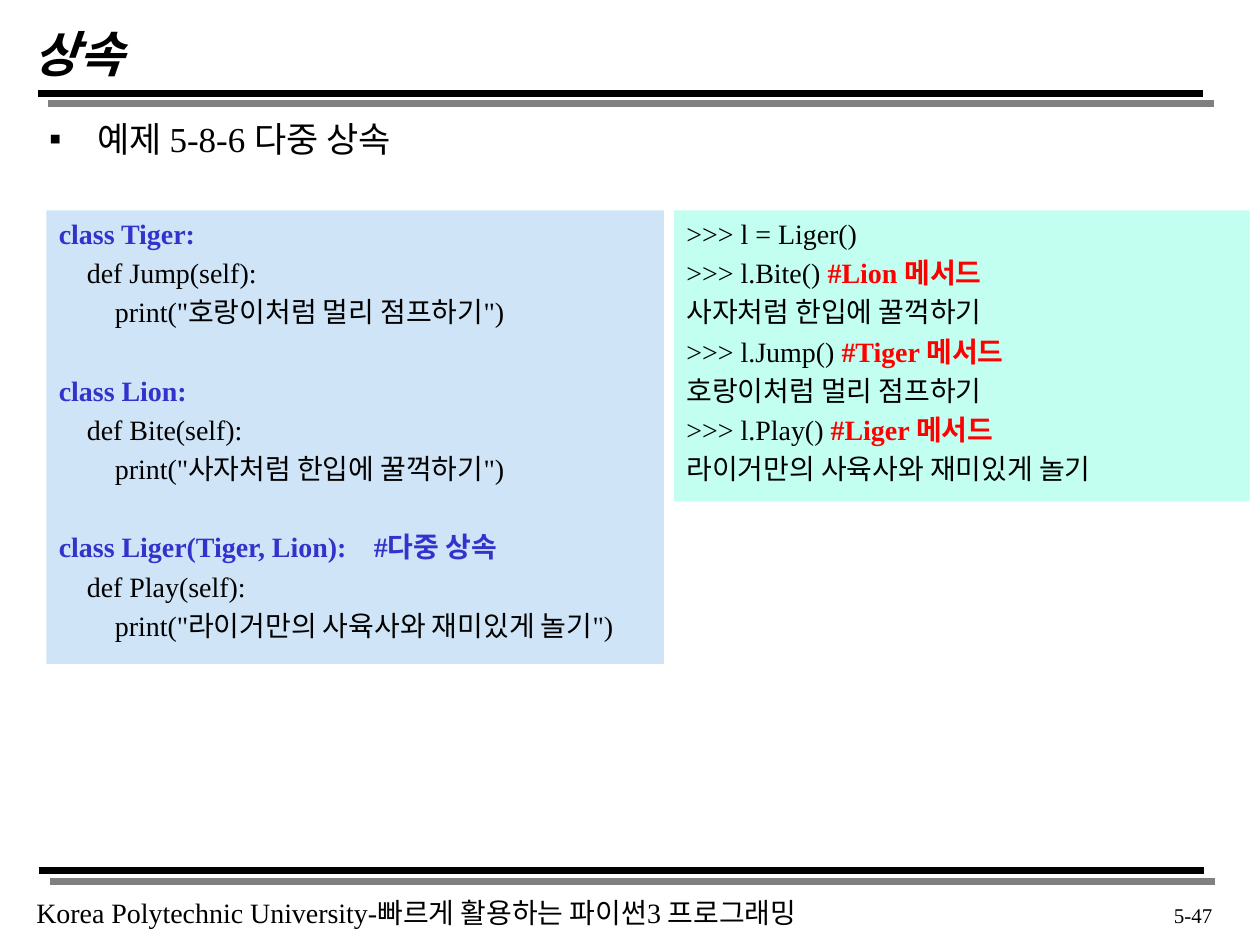
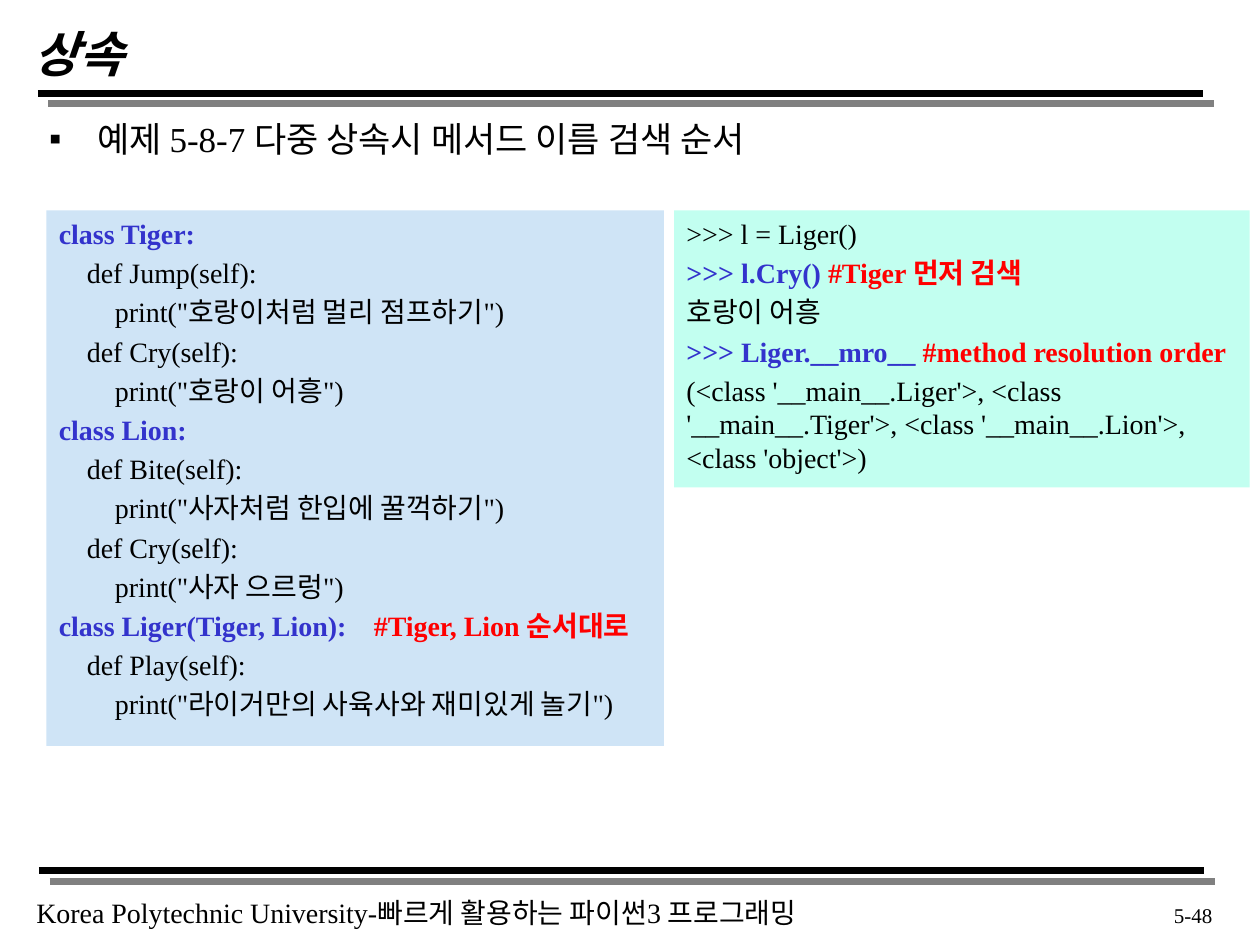
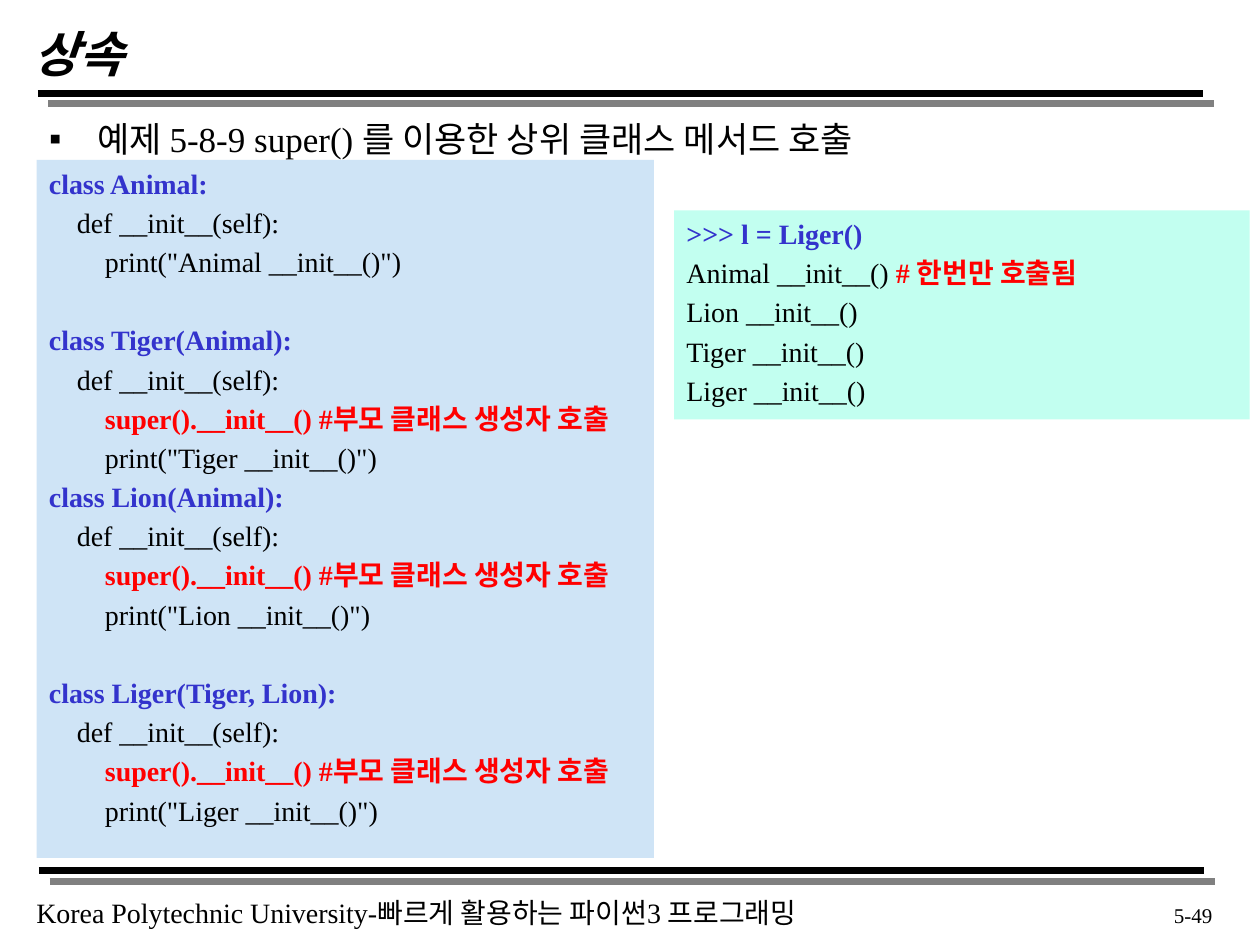
from lxml import etree
from pptx import Presentation
from pptx.dml.color import RGBColor
from pptx.enum import shapes, text
from pptx.oxml import parse_xml
from pptx.oxml.ns import nsdecls, qn
from pptx.util import Pt

BLACK = RGBColor(0x00, 0x00, 0x00)
BLUE = RGBColor(0x33, 0x33, 0xCC)
RED = RGBColor(0xFF, 0x00, 0x00)
CODE_FILL = RGBColor(0xCF, 0xE4, 0xF6)
OUTPUT_FILL = RGBColor(0xC2, 0xFF, 0xF0)
FONT = "Times New Roman"
FOOTER = "Korea Polytechnic University-빠르게 활용하는 파이썬3 프로그래밍"

CODE_SIZE = 16
CODE_GAP = 3.2
CODE_LINE = 22.4
CODE_INDENT = 16
COMMENT_TAB = 178
BULLET_INDENT = 27.4

SHADOW = (
    f'<a:effectLst {nsdecls("a")}><a:outerShdw dist="{Pt(8.5)}" dir="2700000" algn="ctr" rotWithShape="0">'
    '<a:srgbClr val="808080"/></a:outerShdw></a:effectLst>'
)

PARENT_CALL = (2, "super().__init__() #부모 클래스 생성자 호출", RED)
INIT = (1, "def __init__(self):", BLACK)
JUMP = [(1, "def Jump(self):", BLACK), (2, 'print("호랑이처럼 멀리 점프하기")', BLACK)]
BITE = [(1, "def Bite(self):", BLACK), (2, 'print("사자처럼 한입에 꿀꺽하기")', BLACK)]
PLAY = [(1, "def Play(self):", BLACK), (2, 'print("라이거만의 사육사와 재미있게 놀기")', BLACK)]

# A code line is (level, text, colour) plus an optional red comment; None is an empty line.
LESSONS = [
    {
        "topic": "예제 5-8-6 다중 상속",
        "number": "5-47",
        "code_area": (26.6, 120.2, 352.8, 259.2),
        "code": [
            (0, "class Tiger:", BLUE), *JUMP, None,
            (0, "class Lion:", BLUE), *BITE, None,
            (0, "class Liger(Tiger, Lion):\t#다중 상속", BLUE), *PLAY,
        ],
        "output_height": 166.3,
        "output": [
            (0, ">>> l = Liger()", BLACK),
            (0, ">>> l.Bite() ", BLACK, "#Lion 메서드"),
            (0, "사자처럼 한입에 꿀꺽하기", BLACK),
            (0, ">>> l.Jump() ", BLACK, "#Tiger 메서드"),
            (0, "호랑이처럼 멀리 점프하기", BLACK),
            (0, ">>> l.Play() ", BLACK, "#Liger 메서드"),
            (0, "라이거만의 사육사와 재미있게 놀기", BLACK),
        ],
    },
    {
        "topic": "예제 5-8-7 다중 상속시 메서드 이름 검색 순서",
        "number": "5-48",
        "code_area": (26.6, 120.2, 352.8, 306),
        "code": [
            (0, "class Tiger:", BLUE), *JUMP,
            (1, "def Cry(self):", BLACK), (2, 'print("호랑이 어흥")', BLACK),
            (0, "class Lion:", BLUE), *BITE,
            (1, "def Cry(self):", BLACK), (2, 'print("사자 으르렁")', BLACK),
            (0, "class Liger(Tiger, Lion):\t", BLUE, "#Tiger, Lion 순서대로"), *PLAY,
        ],
        "output_height": 158.4,
        "output": [
            (0, ">>> l = Liger()", BLACK),
            (0, ">>> l.Cry() ", BLUE, "#Tiger 먼저 검색"),
            (0, "호랑이 어흥", BLACK),
            (0, ">>> Liger.__mro__ ", BLUE, "#method resolution order"),
            (0, "(<class '__main__.Liger'>, <class '__main__.Tiger'>, "
                "<class '__main__.Lion'>, <class 'object'>)", BLACK),
        ],
    },
    {
        "topic": "예제 5-8-9 super() 를 이용한 상위 클래스 메서드 호출",
        "number": "5-49",
        "code_area": (20.9, 91.4, 352.8, 398.9),
        "code": [
            (0, "class Animal:", BLUE), INIT, (2, 'print("Animal __init__()")', BLACK), None,
            (0, "class Tiger(Animal):", BLUE), INIT, PARENT_CALL, (2, 'print("Tiger __init__()")', BLACK),
            (0, "class Lion(Animal):", BLUE), INIT, PARENT_CALL, (2, 'print("Lion __init__()")', BLACK), None,
            (0, "class Liger(Tiger, Lion):", BLUE), INIT, PARENT_CALL, (2, 'print("Liger __init__()")', BLACK),
        ],
        "output_height": 119.5,
        "output": [
            (0, ">>> l = Liger()", BLUE),
            (0, "Animal __init__() ", BLACK, "# 한번만 호출됨"),
            (0, "Lion __init__()", BLACK),
            (0, "Tiger __init__()", BLACK),
            (0, "Liger __init__()", BLACK),
        ],
    },
]


def style(span, size, colour=BLACK, bold=False, italic=False):
    span.font.name = FONT
    span.font.size = Pt(size)
    span.font.color.rgb = colour
    span.font.bold = bold
    span.font.italic = italic


def add_code_box(page, area, fill, lines):
    box = page.shapes.add_shape(shapes.MSO_SHAPE.RECTANGLE, *map(Pt, area))
    box.shadow.inherit = False
    box.fill.solid()
    box.fill.fore_color.rgb = fill
    box.line.fill.background()
    frame = box.text_frame
    frame.word_wrap = True
    frame.vertical_anchor = text.MSO_ANCHOR.TOP
    para = frame.paragraphs[0]
    gap = CODE_GAP
    for number, line in enumerate(lines):
        if line is None:
            gap += CODE_LINE
            continue
        if number:
            para = frame.add_paragraph()
        level, code, colour, *comment = line
        para.alignment = text.PP_ALIGN.LEFT
        para.space_before = Pt(gap)
        gap = CODE_GAP
        properties = para._p.get_or_add_pPr()
        properties.set("marL", str(Pt(level * CODE_INDENT)))
        properties.set("indent", "0")
        if "\t" in code:
            tabs = etree.SubElement(properties, qn("a:tabLst"))
            etree.SubElement(tabs, qn("a:tab"), pos=str(Pt(COMMENT_TAB)), algn="l")
        for words, tint in [(code, colour)] + [(note, RED) for note in comment]:
            span = para.add_run()
            span.text = words
            style(span, CODE_SIZE, tint, bold=tint != BLACK)


deck = Presentation()
deck.slide_width, deck.slide_height = Pt(720), Pt(540)
layout = deck.slide_layouts[1]
pages = [deck.slides.add_slide(layout) for lesson in LESSONS]

# Rules and footer are drawn once and moved to the shared layout.
shared = []
for left, y in [(75.6, 53.3), (21.6, 53.3), (76.3, 497.5), (22.3, 497.5)]:
    right = 687.6 if y < 270 else 688.3
    rule = pages[0].shapes.add_connector(shapes.MSO_CONNECTOR.STRAIGHT, Pt(left), Pt(y), Pt(right), Pt(y))
    rule.line.color.rgb = BLACK
    rule.line.width = Pt(4)
    rule.element.spPr.append(parse_xml(SHADOW))
    shared.append(rule)
footer = pages[0].shapes.add_textbox(Pt(13.7), Pt(508.3), Pt(475.2), Pt(26.6))
footer.text_frame.text = FOOTER
style(footer.text_frame.paragraphs[0].runs[0], 16)
shared.append(footer)
for shape in shared:
    layout.shapes.element.append(shape.element)

for page, lesson in zip(pages, LESSONS):
    title = page.shapes.title
    title.left, title.top, title.width, title.height = Pt(12.2), Pt(12.2), Pt(612), Pt(36)
    title.text_frame.text = "상속"
    title.text_frame.vertical_anchor = text.MSO_ANCHOR.MIDDLE
    heading = title.text_frame.paragraphs[0]
    heading.alignment = text.PP_ALIGN.LEFT
    style(heading.runs[0], 28, bold=True, italic=True)

    body = page.placeholders[1]
    body.left, body.top, body.width, body.height = Pt(20.9), Pt(63.4), Pt(675.4), Pt(405.4)
    body.text_frame.text = lesson["topic"]
    topic = body.text_frame.paragraphs[0]
    topic.space_before = Pt(4)
    style(topic.runs[0], 20)
    properties = topic._p.get_or_add_pPr()
    properties.set("marL", str(Pt(BULLET_INDENT)))
    properties.set("indent", str(-Pt(BULLET_INDENT)))
    etree.SubElement(properties, qn("a:buChar"), char="▪")

    box = page.shapes.add_textbox(Pt(640.1), Pt(511.9), Pt(59.8), Pt(23))
    box.text_frame.word_wrap = True
    box.text_frame.text = lesson["number"]
    number = box.text_frame.paragraphs[0]
    number.alignment = text.PP_ALIGN.RIGHT
    style(number.runs[0], 12)

    add_code_box(page, lesson["code_area"], CODE_FILL, lesson["code"])
    add_code_box(page, (385.2, 120.2, 329, lesson["output_height"]), OUTPUT_FILL, lesson["output"])

deck.save("out.pptx")
